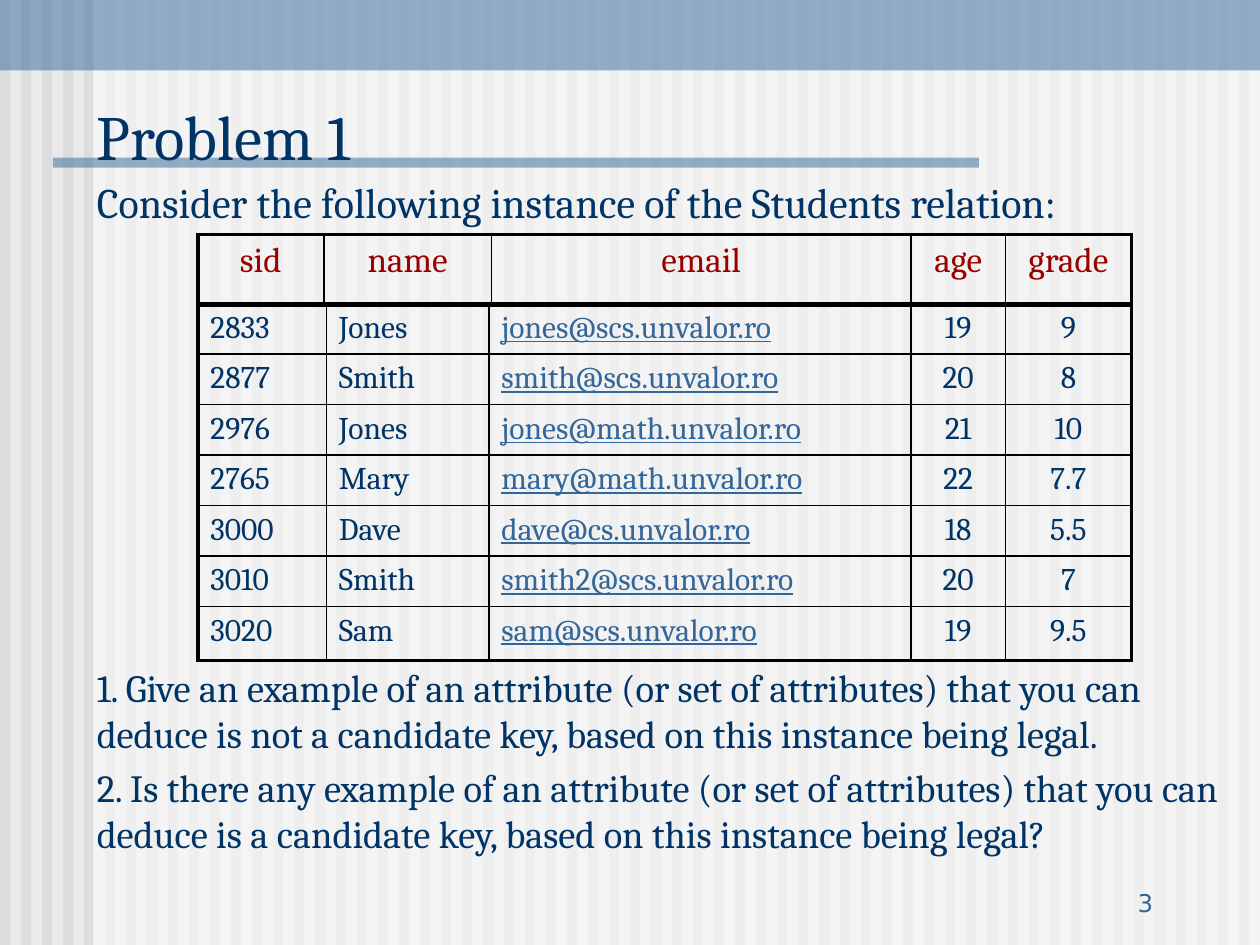
import pptx
import pptx.dml.color
import pptx.enum.shapes
import pptx.enum.text
import pptx.oxml
import pptx.oxml.ns
import pptx.util
from pptx.util import Inches

ALIGN = pptx.enum.text.PP_ALIGN
ANCHOR = pptx.enum.text.MSO_ANCHOR
NAVY, BLUE, RED = "003366", "336699", "9A0000"
THIN, THICK = 1, 2.25

HEADINGS = ["sid", "name", "email", "age", "grade"]
STUDENTS = [
    ["2833", "Jones", "jones@scs.unvalor.ro", "19", "9"],
    ["2877", "Smith", "smith@scs.unvalor.ro", "20", "8"],
    ["2976", "Jones", "jones@math.unvalor.ro", "21", "10"],
    ["2765", "Mary", "mary@math.unvalor.ro", "22", "7.7"],
    ["3000", "Dave", "dave@cs.unvalor.ro", "18", "5.5"],
    ["3010", "Smith", "smith2@scs.unvalor.ro", "20", "7"],
    ["3020", "Sam", "sam@scs.unvalor.ro", "19", "9.5"],
]
QUESTIONS = [
    "1. Give an example of an attribute (or set of attributes) that you can "
    "deduce is not a candidate key, based on this instance being legal.",
    "2. Is there any example of an attribute (or set of attributes) that you can "
    "deduce is a candidate key, based on this instance being legal?",
]


def rgb(hex_color):
    return pptx.dml.color.RGBColor.from_string(hex_color)


class SlideBuilder:
    """Holds the slide and its text style."""

    font = "Cambria"

    def __init__(self, slide):
        self.slide = slide

    def background(self, color):
        fill = self.slide.background.fill
        fill.solid()
        fill.fore_color.rgb = rgb(color)

    def bar(self, left, top, width, height, color, opacity=100):
        bar = self.slide.shapes.add_shape(
            pptx.enum.shapes.MSO_SHAPE.RECTANGLE,
            Inches(left), Inches(top), Inches(width), Inches(height))
        bar.shadow.inherit = False
        bar.line.fill.background()
        bar.fill.solid()
        bar.fill.fore_color.rgb = rgb(color)
        if opacity < 100:
            color_node = bar.fill._xPr.find(".//" + pptx.oxml.ns.qn("a:srgbClr"))
            color_node.append(pptx.oxml.parse_xml(
                f'<a:alpha {pptx.oxml.ns.nsdecls("a")} val="{opacity * 1000}"/>'))

    def style(self, paragraph, size, color, align=ALIGN.LEFT, font=None):
        paragraph.alignment = align
        paragraph.font.name = font or self.font
        paragraph.font.size = pptx.util.Pt(size)
        paragraph.font.color.rgb = rgb(color)

    def text(self, left, top, width, height, lines, size, color=NAVY,
             anchor=ANCHOR.TOP, align=ALIGN.LEFT, font=None):
        box = self.slide.shapes.add_textbox(
            Inches(left), Inches(top), Inches(width), Inches(height))
        frame = box.text_frame
        frame.word_wrap = True
        frame.vertical_anchor = anchor
        frame.text = "\n".join(lines)
        for index, paragraph in enumerate(frame.paragraphs):
            self.style(paragraph, size, color, align, font)
            if index:
                paragraph.space_before = pptx.util.Pt(0.2 * size)

    def table(self, left, top, widths, heights, rows, cell_style):
        """cell_style maps a column number to size, colour, alignment, underline."""
        table = self.slide.shapes.add_table(
            len(rows), len(widths), Inches(left), Inches(top),
            Inches(sum(widths)), Inches(sum(heights))).table
        table.first_row = table.horz_banding = False
        for column, width in zip(table.columns, widths):
            column.width = Inches(width)
        last_row, last_column = len(rows) - 1, len(widths) - 1
        for r, values in enumerate(rows):
            table.rows[r].height = Inches(heights[r])
            for c, value in enumerate(values):
                cell = table.cell(r, c)
                cell.text = value
                size, color, align, underline = cell_style(c)
                paragraph = cell.text_frame.paragraphs[0]
                self.style(paragraph, size, color, align)
                paragraph.font.underline = underline
                outer = {"L": c == 0, "R": c == last_column,
                         "T": r == 0, "B": r == last_row}
                self.borders(cell, outer)
                cell.fill.background()

    def borders(self, cell, outer):
        for side, is_outer in outer.items():
            width = pptx.util.Pt(THICK if is_outer else THIN)
            cell._tc.get_or_add_tcPr().append(pptx.oxml.parse_xml(
                f'<a:ln{side} {pptx.oxml.ns.nsdecls("a")} w="{width}"><a:solidFill>'
                f'<a:srgbClr val="000000"/></a:solidFill></a:ln{side}>'))


def heading_style(column):
    return 20, RED, ALIGN.CENTER, False


def student_style(column):
    is_email = HEADINGS[column] == "email"
    align = ALIGN.CENTER if HEADINGS[column] in ("age", "grade") else ALIGN.LEFT
    return 18, BLUE if is_email else NAVY, align, is_email


def main():
    deck = pptx.Presentation()
    deck.slide_width, deck.slide_height = Inches(10), Inches(7.5)
    page = SlideBuilder(deck.slides.add_slide(deck.slide_layouts[6]))

    page.background("EAEAEA")
    for stripe in range(60):
        page.bar(stripe / 6, 0, 0.08, 7.5, "DDDDDD")
    page.bar(0.74, 0, 9.26, 7.5, "FFFFFF", 50)
    page.bar(0, 0, 10, 0.56, BLUE, 50)
    page.bar(0.42, 1.25, 7.35, 0.08, BLUE, 50)

    page.text(7.17, 6.83, 2.08, 0.5, ["3"], 14, BLUE, ANCHOR.BOTTOM,
              ALIGN.RIGHT, "DejaVu Sans")
    page.text(0.67, 0.71, 9.08, 0.71, ["Problem 1"], 36, anchor=ANCHOR.BOTTOM)
    page.text(0.67, 1.35, 9.33, 0.5,
              ["Consider the following instance of the Students relation:"], 24)
    page.text(0.67, 5.22, 9.33, 1.6, QUESTIONS, 22)

    page.table(1.57, 1.86, [1, 1.33, 3.33, 0.75, 1], [0.56], [HEADINGS],
               heading_style)
    page.table(1.57, 2.41, [1.02, 1.29, 3.35, 0.75, 1], [0.4] * 6 + [0.43],
               STUDENTS, student_style)

    deck.save("out.pptx")


if __name__ == "__main__":
    main()
